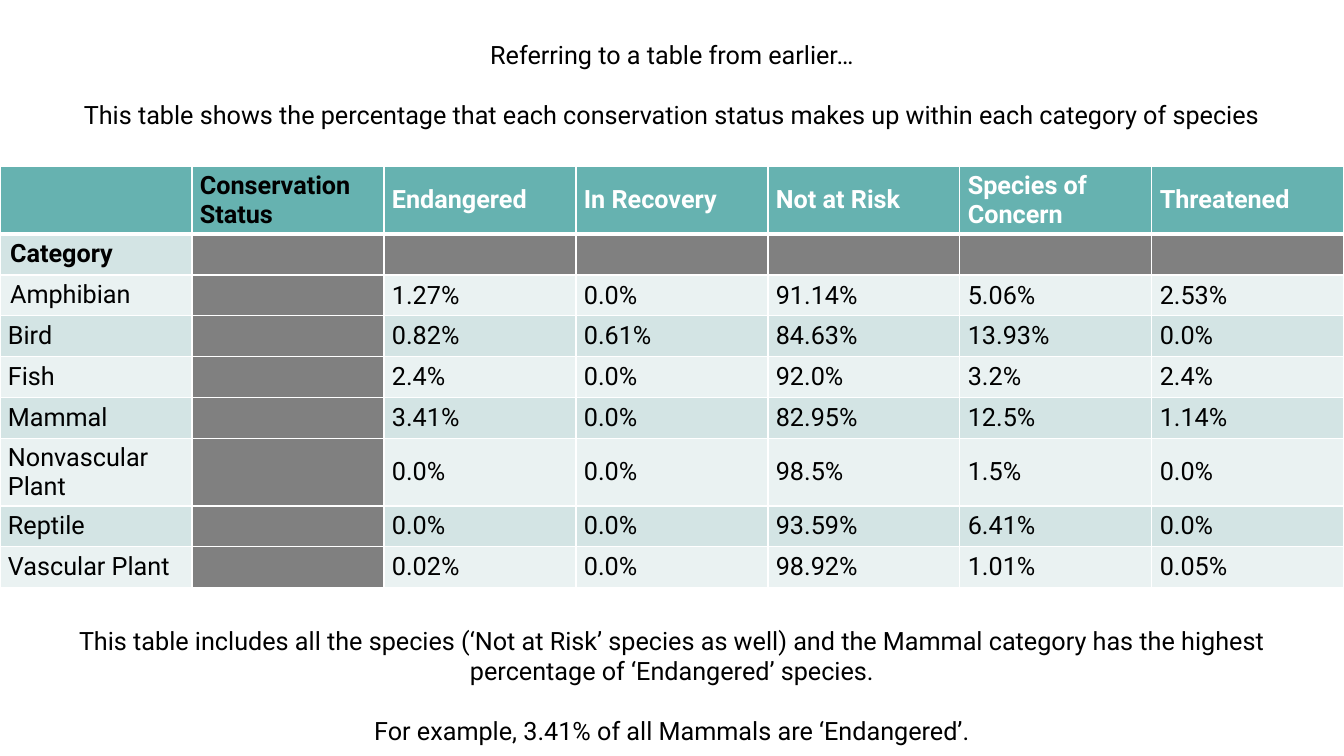
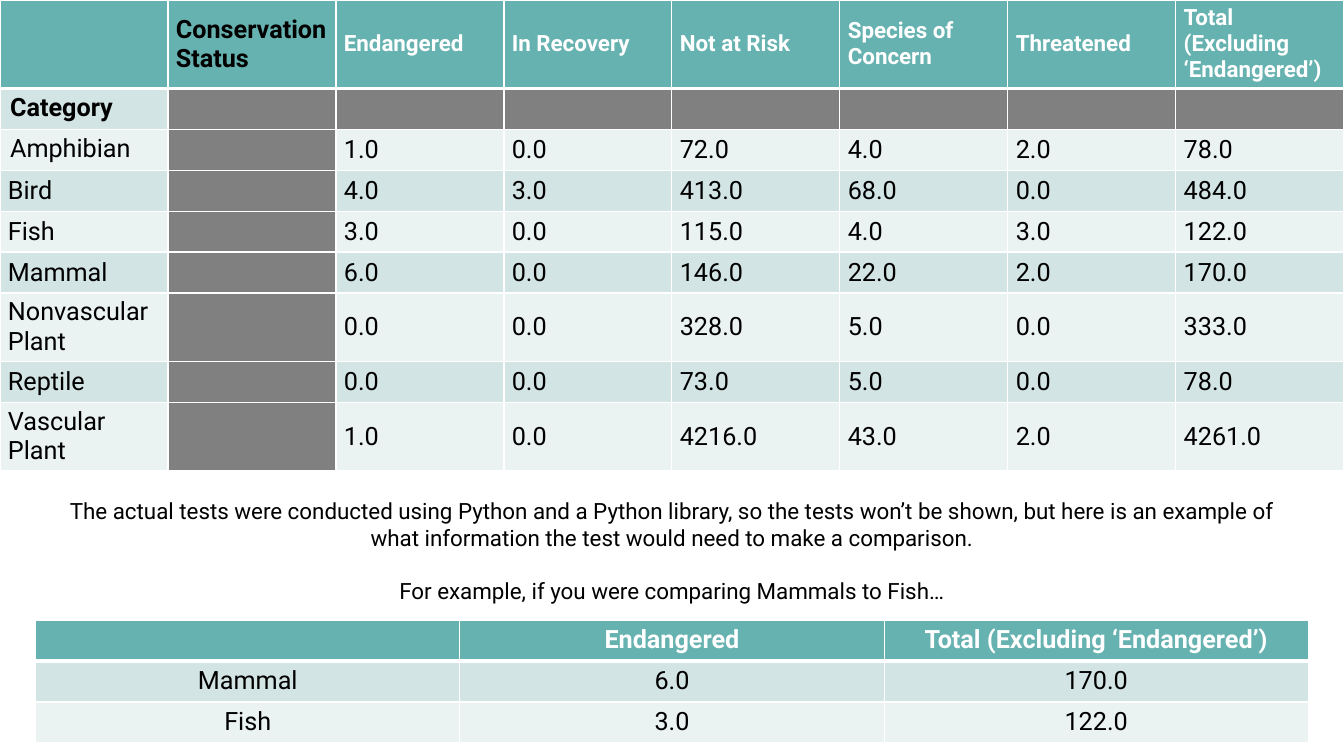
from lxml.etree import SubElement
from pptx import Presentation
from pptx.dml.color import RGBColor
from pptx.enum.text import MSO_ANCHOR, MSO_AUTO_SIZE, PP_ALIGN
from pptx.oxml.ns import qn
from pptx.util import Cm, Pt

COLORS = {
    "header": "66B2B0", "odd": "D3E4E4", "even": "EAF2F2",
    "blocked": "808080", "text": "000000", "white": "FFFFFF",
}
FONT = "Roboto"
BODY_SIZE = 18
SLIDE_W, SLIDE_H = 33.87, 19.05
ROW_H, WRAPPED_ROW_H = 1.03, 1.7
MARGIN = 0.9
BOX_W = SLIDE_W - 2 * MARGIN
LINE_SPACING = 1.17
BLOCKED = None
STATUS = "Conservation Status"
STATUSES = ["Endangered", "In Recovery", "Not at Risk", "Species of Concern", "Threatened"]
TOTAL = "Total (Excluding ‘Endangered’)"
CATEGORIES = ["Amphibian", "Bird", "Fish", "Mammal", "Nonvascular Plant",
              "Reptile", "Vascular Plant"]

SHARES = [
    ["1.27%", "0.0%", "91.14%", "5.06%", "2.53%"],
    ["0.82%", "0.61%", "84.63%", "13.93%", "0.0%"],
    ["2.4%", "0.0%", "92.0%", "3.2%", "2.4%"],
    ["3.41%", "0.0%", "82.95%", "12.5%", "1.14%"],
    ["0.0%", "0.0%", "98.5%", "1.5%", "0.0%"],
    ["0.0%", "0.0%", "93.59%", "6.41%", "0.0%"],
    ["0.02%", "0.0%", "98.92%", "1.01%", "0.05%"],
]
COUNTS = [
    ["1.0", "0.0", "72.0", "4.0", "2.0", "78.0"],
    ["4.0", "3.0", "413.0", "68.0", "0.0", "484.0"],
    ["3.0", "0.0", "115.0", "4.0", "3.0", "122.0"],
    ["6.0", "0.0", "146.0", "22.0", "2.0", "170.0"],
    ["0.0", "0.0", "328.0", "5.0", "0.0", "333.0"],
    ["0.0", "0.0", "73.0", "5.0", "0.0", "78.0"],
    ["1.0", "0.0", "4216.0", "43.0", "2.0", "4261.0"],
]


def rgb(name):
    return RGBColor.from_string(COLORS[name])


class Deck:
    def __init__(self):
        self.prs = Presentation()
        self.prs.slide_width, self.prs.slide_height = Cm(SLIDE_W), Cm(SLIDE_H)
        self.s = None

    def slide(self):
        blank = self.prs.slide_layouts[6]
        self.s = self.prs.slides.add_slide(blank)

    def run(self, p, text, size=BODY_SIZE, color="text", bold=False):
        r = p.add_run()
        r.text = text
        r.font.name, r.font.size, r.font.bold = FONT, Pt(size), bold
        r.font.color.rgb = rgb(color)

    def text(self, top, height, paragraphs, size=BODY_SIZE):
        """Add centred paragraphs set one line apart."""
        sp = self.s.shapes.add_textbox(Cm(MARGIN), Cm(top), Cm(BOX_W), Cm(height))
        tf = sp.text_frame
        tf.word_wrap = True
        tf.auto_size = MSO_AUTO_SIZE.SHAPE_TO_FIT_TEXT
        for i, text in enumerate(paragraphs):
            p = tf.add_paragraph() if i else tf.paragraphs[0]
            p.alignment = PP_ALIGN.CENTER
            if i:
                p.space_before = Pt(round(size * LINE_SPACING, 1))
            self.run(p, text, size)

    def borders(self, cell, row):
        """Draw white edges, with a thick rule under the header row."""
        thick = {"lnB": row == 0, "lnT": row == 1}
        tc_pr = cell._tc.get_or_add_tcPr()
        for side in ("lnL", "lnR", "lnT", "lnB"):
            width = Pt(3 if thick.get(side) else 1)
            ln = SubElement(tc_pr, qn("a:" + side), w=str(width))
            fill = SubElement(ln, qn("a:solidFill"))
            SubElement(fill, qn("a:srgbClr"), val=COLORS["white"])

    def tighten(self, cell):
        cell.vertical_anchor = MSO_ANCHOR.MIDDLE
        cell.margin_left = cell.margin_right = Cm(0.2)
        cell.margin_top = cell.margin_bottom = Cm(0.1)

    def table(self, left, top, width, grid, heights, align=PP_ALIGN.CENTER,
              header_size=BODY_SIZE, tight=lambda i, j: False):
        """Add equal columns; tight(i, j) picks cells with narrow margins."""
        frame = self.s.shapes.add_table(len(grid), len(grid[0]), Cm(left), Cm(top),
                                        Cm(width), Cm(sum(heights)))
        table = frame.table
        for col in table.columns:
            col.width = Cm(width / len(grid[0]))
        for i, values in enumerate(grid):
            table.rows[i].height = Cm(heights[i])
            band = "header" if i == 0 else "odd" if i % 2 else "even"
            for j, value in enumerate(values):
                cell = table.cell(i, j)
                self.borders(cell, i)
                cell.fill.solid()
                cell.fill.fore_color.rgb = rgb("blocked" if value is BLOCKED else band)
                if not value:
                    continue
                if tight(i, j):
                    self.tighten(cell)
                p = cell.text_frame.paragraphs[0]
                p.alignment = align
                white = i == 0 and value != STATUS
                self.run(p, value, header_size if white else BODY_SIZE,
                         "white" if white else "text", i == 0 or value == "Category")

    def status_table(self, top, header_h, statuses, values, wrapped, header_size=BODY_SIZE):
        """Add a full-width table of categories by status."""
        grid = [["", STATUS, *statuses], ["Category"] + [BLOCKED] * (len(statuses) + 1)]
        grid += [[name, BLOCKED, *row] for name, row in zip(CATEGORIES, values)]
        heights = [header_h, ROW_H]
        heights += [WRAPPED_ROW_H if name in wrapped else ROW_H for name in CATEGORIES]
        self.table(0, top, SLIDE_W, grid, heights, PP_ALIGN.LEFT, header_size,
                   tight=lambda i, j: j > 0 or i > 2)


def main():
    deck = Deck()

    deck.slide()
    deck.status_table(4.2, 1.7, STATUSES, SHARES, ["Nonvascular Plant"])
    deck.text(0.86, 2.57, [
        "Referring to a table from earlier…",
        "This table shows the percentage that each conservation status makes up "
        "within each category of species",
    ])
    deck.text(15.62, 3.33, [
        "This table includes all the species (‘Not at Risk’ species as well) and the "
        "Mammal category has the highest percentage of ‘Endangered’ species.",
        "For example, 3.41% of all Mammals are ‘Endangered’.",
    ])

    deck.slide()
    deck.status_table(0, 2.17, STATUSES + [TOTAL], COUNTS,
                      ["Nonvascular Plant", "Vascular Plant"], header_size=16)
    deck.text(12.4, 3, [
        "The actual tests were conducted using Python and a Python library, so the tests "
        "won’t be shown, but here is an example of what information the test would need "
        "to make a comparison.",
        "For example, if you were comparing Mammals to Fish…",
    ], size=16)
    totals = dict(zip(CATEGORIES, COUNTS))
    grid = [["", STATUSES[0], TOTAL]]
    grid += [[name, totals[name][0], totals[name][-1]] for name in ("Mammal", "Fish")]
    deck.table(MARGIN, 15.63, BOX_W, grid, [ROW_H] * len(grid))

    deck.prs.save("out.pptx")


if __name__ == "__main__":
    main()
